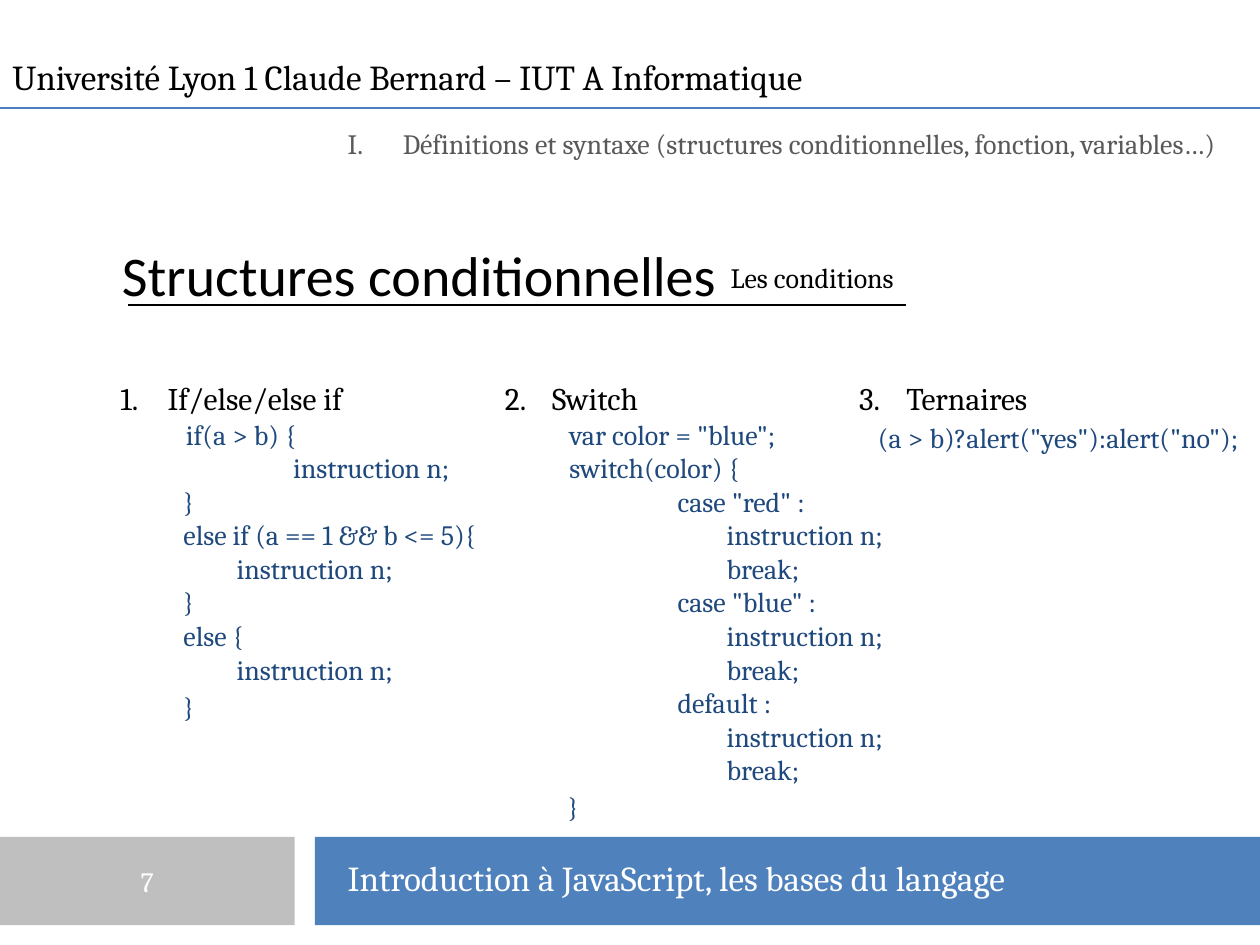
from lxml.etree import SubElement
from pptx import Presentation
from pptx.dml.color import RGBColor
from pptx.enum.shapes import MSO_CONNECTOR, MSO_SHAPE
from pptx.enum.text import MSO_ANCHOR, PP_ALIGN
from pptx.oxml.ns import qn
from pptx.util import Cm, Pt

BLACK = RGBColor(0x00, 0x00, 0x00)
WHITE = RGBColor(0xFF, 0xFF, 0xFF)
GREY = RGBColor(0xBF, 0xBF, 0xBF)
DARK_GREY = RGBColor(0x59, 0x59, 0x59)
BLUE = RGBColor(0x4F, 0x81, 0xBD)
RULE_BLUE = RGBColor(0x4B, 0x7E, 0xBC)
CODE_BLUE = RGBColor(0x1F, 0x49, 0x7D)

CONDITIONS = [
    (1.32, "if(a > b) {"),
    (3.48, "instruction n;"),
    (1.27, "}"),
    (1.27, "else if (a == 1 && b <= 5){"),
    (2.34, "instruction n;"),
    (1.27, "}"),
    (1.27, "else {"),
    (2.34, "instruction n;"),
    (1.27, "}"),
]
CASES = [
    line
    for label in ('case "red" :', 'case "blue" :', "default :")
    for line in ((3.48, label), (4.47, "instruction n;"), (4.47, "break;"))
]
SWITCH = [(1.3, 'var color = "blue";'), (1.3, "switch(color) {"), *CASES, (1.27, "}")]
TERNARY = [(0.38, '(a > b)?alert("yes"):alert("no");')]


def style(para, text, size, color, font="Cambria"):
    para.text = text
    para.font.name = font
    para.font.size = Pt(size)
    para.font.color.rgb = color


def indent(para, left, hanging=0):
    properties = para._p.get_or_add_pPr()
    properties.set("marL", str(Cm(left)))
    properties.set("indent", str(-Cm(hanging)))


def number(para, kind, start, hanging):
    indent(para, hanging, hanging)
    para.line_spacing = 1.5
    bullet = SubElement(para._p.get_or_add_pPr(), qn("a:buAutoNum"))
    bullet.set("type", kind)
    bullet.set("startAt", str(start))


def add_text(page, left, top, width, height, text, size, color, font="Cambria"):
    box = page.shapes.add_textbox(Cm(left), Cm(top), Cm(width), Cm(height))
    box.text_frame.word_wrap = True
    style(box.text_frame.paragraphs[0], text, size, color, font)
    return box.text_frame


def add_rule(page, left, top, width, color):
    rule = page.shapes.add_connector(
        MSO_CONNECTOR.STRAIGHT, Cm(left), Cm(top), Cm(left + width), Cm(top))
    rule.line.color.rgb = color
    rule.line.width = Pt(0.75)
    SubElement(rule._element.spPr, qn("a:effectLst"))


def add_bar(page, left, top, width, height, color):
    bar = page.shapes.add_shape(
        MSO_SHAPE.RECTANGLE, Cm(left), Cm(top), Cm(width), Cm(height))
    bar.shadow.inherit = False
    bar.fill.solid()
    bar.fill.fore_color.rgb = color
    bar.line.fill.background()
    return bar.text_frame


def add_header(page, left, top, width):
    add_text(page, left, top, 17.86, 1.12,
             "Université Lyon 1 Claude Bernard – IUT A Informatique", 20, BLACK)
    add_rule(page, left, top + 1.18, width, RULE_BLUE)
    chapter = add_text(
        page, left + 6.76, top + 1.09, 19.05, 1.27,
        "Définitions et syntaxe (structures conditionnelles, fonction, variables…)",
        16, DARK_GREY)
    number(chapter.paragraphs[0], "romanUcPeriod", 1, 1.11)


def add_title(page, left, top):
    title = add_text(page, left, top, 18.06, 2.41,
                     "Structures conditionnelles", 32, BLACK, "Calibri")
    title.vertical_anchor = MSO_ANCHOR.MIDDLE
    title.paragraphs[0].alignment = PP_ALIGN.CENTER
    add_text(page, left + 15.06, top + 0.81, 10.92, 0.94, "Les conditions", 16, BLACK)
    add_rule(page, left + 3.17, top + 1.83, 15.67, BLACK)


def add_code_column(page, left, top, width, height, position, heading, lines):
    frame = add_text(page, left, top, width, height, heading, 18, BLACK)
    number(frame.paragraphs[0], "arabicPeriod", position, 0.95)
    for depth, code in lines:
        para = frame.add_paragraph()
        style(para, code, 16, CODE_BLUE)
        indent(para, depth)
    para.space_before = Pt(2)


def add_footer(page, left, top, width, height):
    badge = add_bar(page, left, top, 5.94, height, GREY)
    badge.vertical_anchor = MSO_ANCHOR.MIDDLE
    style(badge.paragraphs[0], "7", 16, WHITE)
    badge.paragraphs[0].alignment = PP_ALIGN.CENTER
    add_bar(page, left + 6.35, top, width - 6.35, height, BLUE)
    add_text(page, left + 6.76, top + 0.28, 19.05, 1.12,
             "Introduction à JavaScript, les bases du langage", 20, WHITE)


def main():
    deck = Presentation()
    deck.slide_width, deck.slide_height = Cm(25.4), Cm(19.05)
    page = deck.slides.add_slide(deck.slide_layouts[6])
    add_header(page, 0, 1, 25.4)
    add_title(page, -0.58, 4.32)
    columns = [
        (2.18, 8.53, 7.65, "If/else/else if", CONDITIONS),
        (9.93, 8.53, 9.7, "Switch", SWITCH),
        (17.07, 9.12, 2.87, "Ternaires", TERNARY),
    ]
    for position, (left, width, height, heading, lines) in enumerate(columns, 1):
        add_code_column(page, left, 7.14, width, height, position, heading, lines)
    add_footer(page, 0, 16.87, 25.4, 1.78)
    deck.save("out.pptx")


main()
